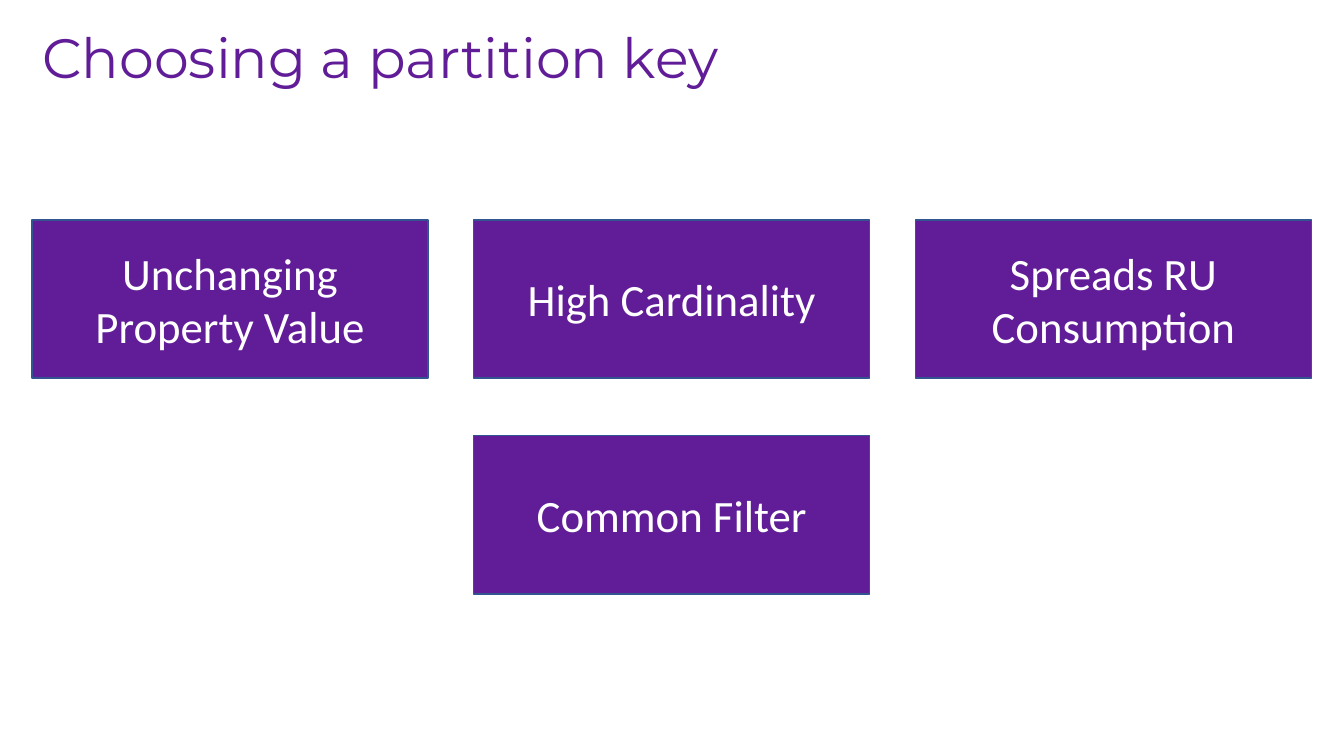
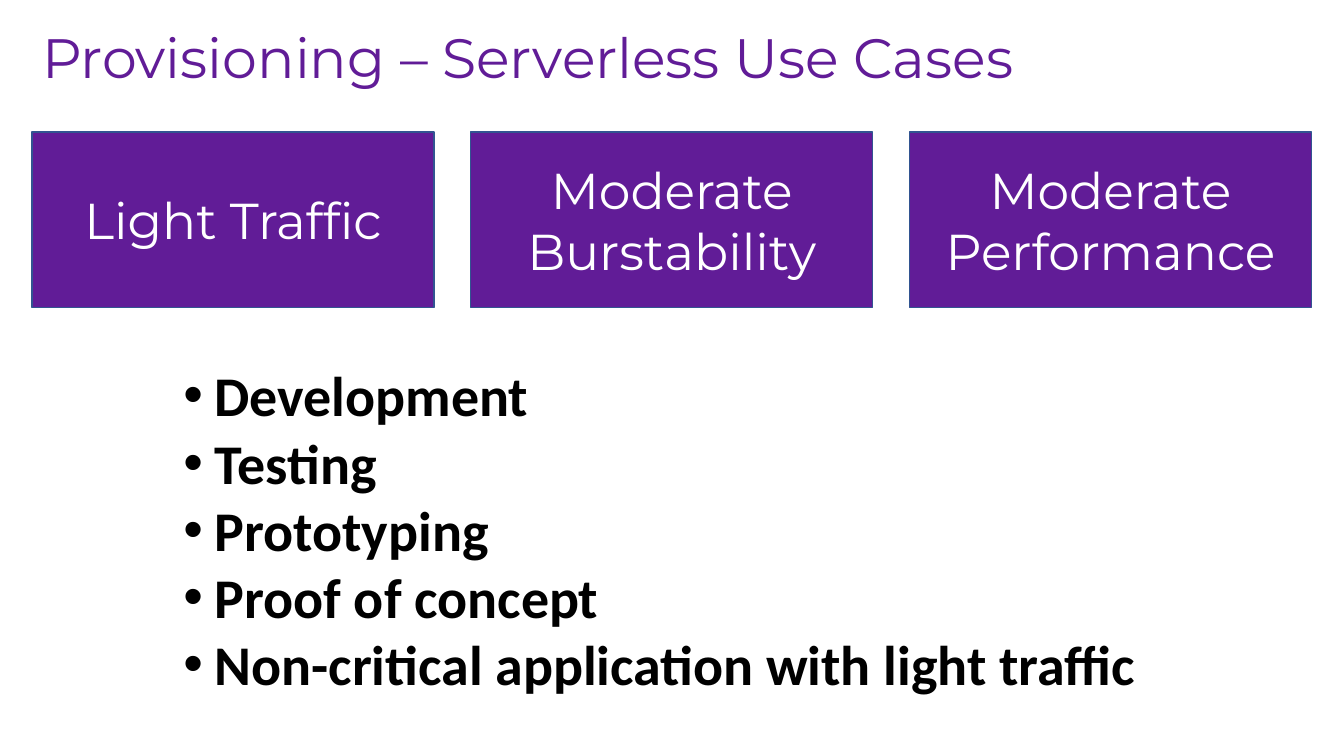
from dataclasses import dataclass

from lxml.etree import SubElement
from pptx import Presentation
from pptx.dml.color import RGBColor
from pptx.enum.shapes import MSO_SHAPE
from pptx.enum.text import MSO_ANCHOR, PP_ALIGN
from pptx.oxml.ns import qn
from pptx.slide import Slide
from pptx.text.text import _Paragraph
from pptx.util import Cm, Pt

COLOURS = {"purple": "611C97", "outline": "325491", "white": "FFFFFF", "black": "000000"}
HEADING_FONT = "Montserrat"
BODY_FONT = "Calibri"
MARGIN = 0.81
CONTENT_WIDTH = 32.24
COLUMNS = 3
BULLET_INDENT = 0.79


@dataclass(frozen=True)
class CardStyle:
    """Card lengths in centimetres, with the font of the labels."""
    top: float
    width: float
    height: float
    font: str
    size: float
    row_gap: float = 0


@dataclass(frozen=True)
class Card:
    label: str
    column: int
    row: int = 0


KEY_STYLE = CardStyle(top=5.54, width=9.98, height=3.99, font=BODY_FONT, size=32, row_gap=1.45)
KEY_CARDS = [
    Card("Unchanging Property Value", 0),
    Card("High Cardinality", 1),
    Card("Spreads RU Consumption", 2),
    Card("Common Filter", 1, row=1),
]
SERVERLESS_STYLE = CardStyle(top=3.33, width=10.13, height=4.42, font=HEADING_FONT, size=36)
SERVERLESS_CARDS = [
    Card("Light Traffic", 0),
    Card("Moderate Burstability", 1),
    Card("Moderate Performance", 2),
]
USE_CASES = [
    "Development",
    "Testing",
    "Prototyping",
    "Proof of concept",
    "Non-critical application with light traffic",
]


def colour(name: str) -> RGBColor:
    return RGBColor.from_string(COLOURS[name])


def set_font(paragraph: _Paragraph, name: str, size: float, ink: str, bold: bool = False) -> None:
    font = paragraph.font
    font.name = name
    font.size = Pt(size)
    font.bold = bold
    font.color.rgb = colour(ink)


def add_titled_slide(deck: Presentation, title: str) -> Slide:
    slide = deck.slides.add_slide(deck.slide_layouts[6])
    frame = slide.shapes.add_textbox(Cm(MARGIN), Cm(0.58), Cm(32.16), Cm(1.88)).text_frame
    frame.word_wrap = True
    frame.vertical_anchor = MSO_ANCHOR.MIDDLE
    heading = frame.paragraphs[0]
    heading.text = title
    heading.line_spacing = 0.9
    set_font(heading, HEADING_FONT, 39.6, "purple")
    return slide


def add_cards(slide: Slide, cards: list[Card], style: CardStyle) -> None:
    """Place cards on a grid whose columns span the content width."""
    column_step = (CONTENT_WIDTH - style.width) / (COLUMNS - 1)
    row_step = style.height + style.row_gap
    for card in cards:
        box = slide.shapes.add_shape(
            MSO_SHAPE.RECTANGLE,
            Cm(MARGIN + card.column * column_step),
            Cm(style.top + card.row * row_step),
            Cm(style.width),
            Cm(style.height),
        )
        box.shadow.inherit = False
        box.fill.solid()
        box.fill.fore_color.rgb = colour("purple")
        box.line.color.rgb = colour("outline")
        box.line.width = Pt(1)
        frame = box.text_frame
        frame.word_wrap = True
        frame.vertical_anchor = MSO_ANCHOR.MIDDLE
        label = frame.paragraphs[0]
        label.text = card.label
        label.alignment = PP_ALIGN.CENTER
        set_font(label, style.font, style.size, "white")


def add_bullet(paragraph: _Paragraph) -> None:
    properties = paragraph._p.get_or_add_pPr()
    properties.set("marL", str(Cm(BULLET_INDENT)))
    properties.set("indent", str(-Cm(BULLET_INDENT)))
    SubElement(properties, qn("a:buFont"), typeface="Arial")
    SubElement(properties, qn("a:buChar"), char="•")


def add_use_cases(slide: Slide, use_cases: list[str]) -> None:
    frame = slide.shapes.add_textbox(Cm(4.37), Cm(8.97), Cm(25.12), Cm(8.81)).text_frame
    frame.word_wrap = True
    for index, use_case in enumerate(use_cases):
        item = frame.add_paragraph() if index else frame.paragraphs[0]
        item.text = use_case
        add_bullet(item)
        set_font(item, BODY_FONT, 40, "black", bold=True)


def main() -> None:
    deck = Presentation()
    deck.slide_width = Cm(33.87)
    deck.slide_height = Cm(19.05)

    partition_key = add_titled_slide(deck, "Choosing a partition key")
    add_cards(partition_key, KEY_CARDS, KEY_STYLE)

    serverless = add_titled_slide(deck, "Provisioning – Serverless Use Cases")
    add_cards(serverless, SERVERLESS_CARDS, SERVERLESS_STYLE)
    add_use_cases(serverless, USE_CASES)

    deck.save("out.pptx")


if __name__ == "__main__":
    main()
